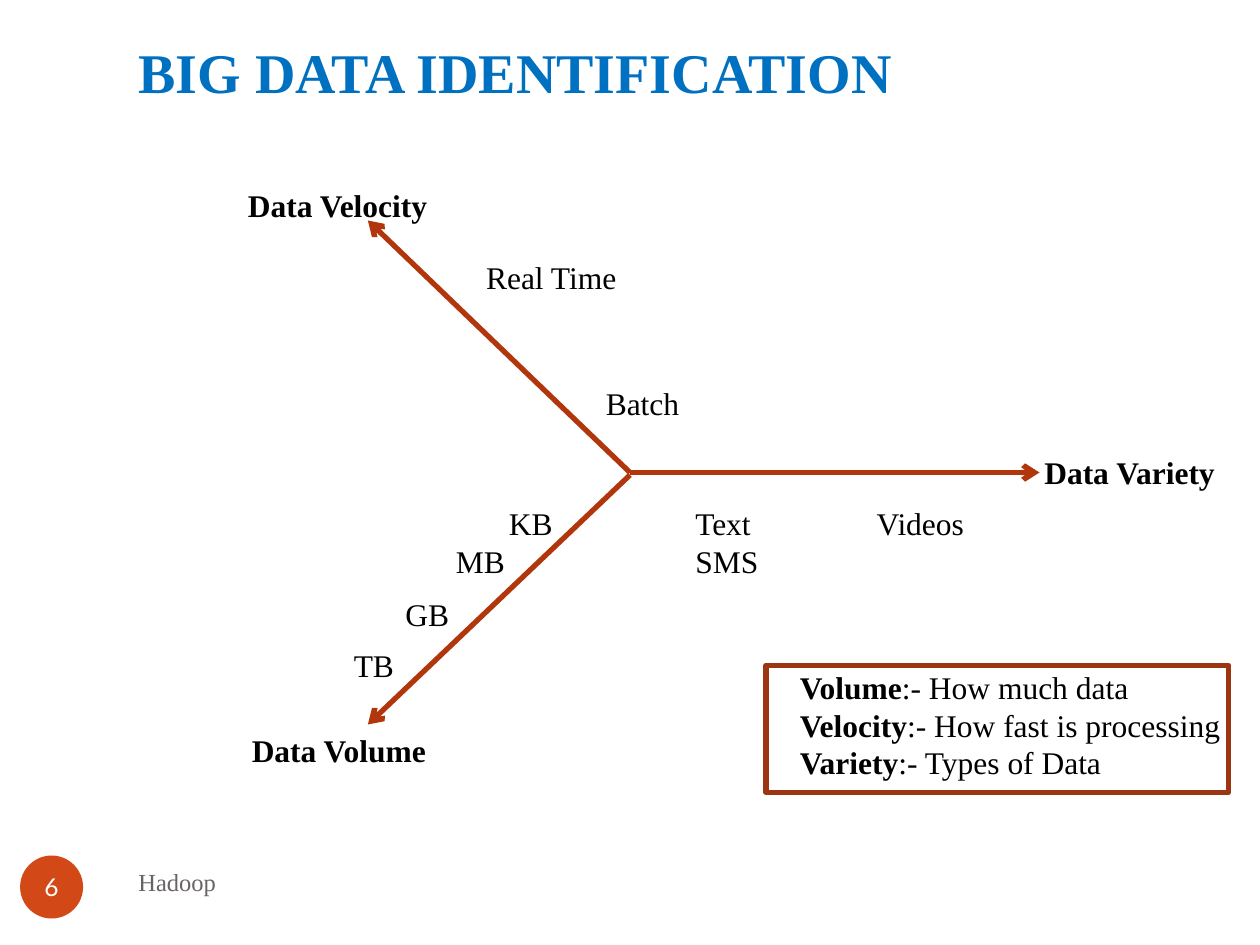
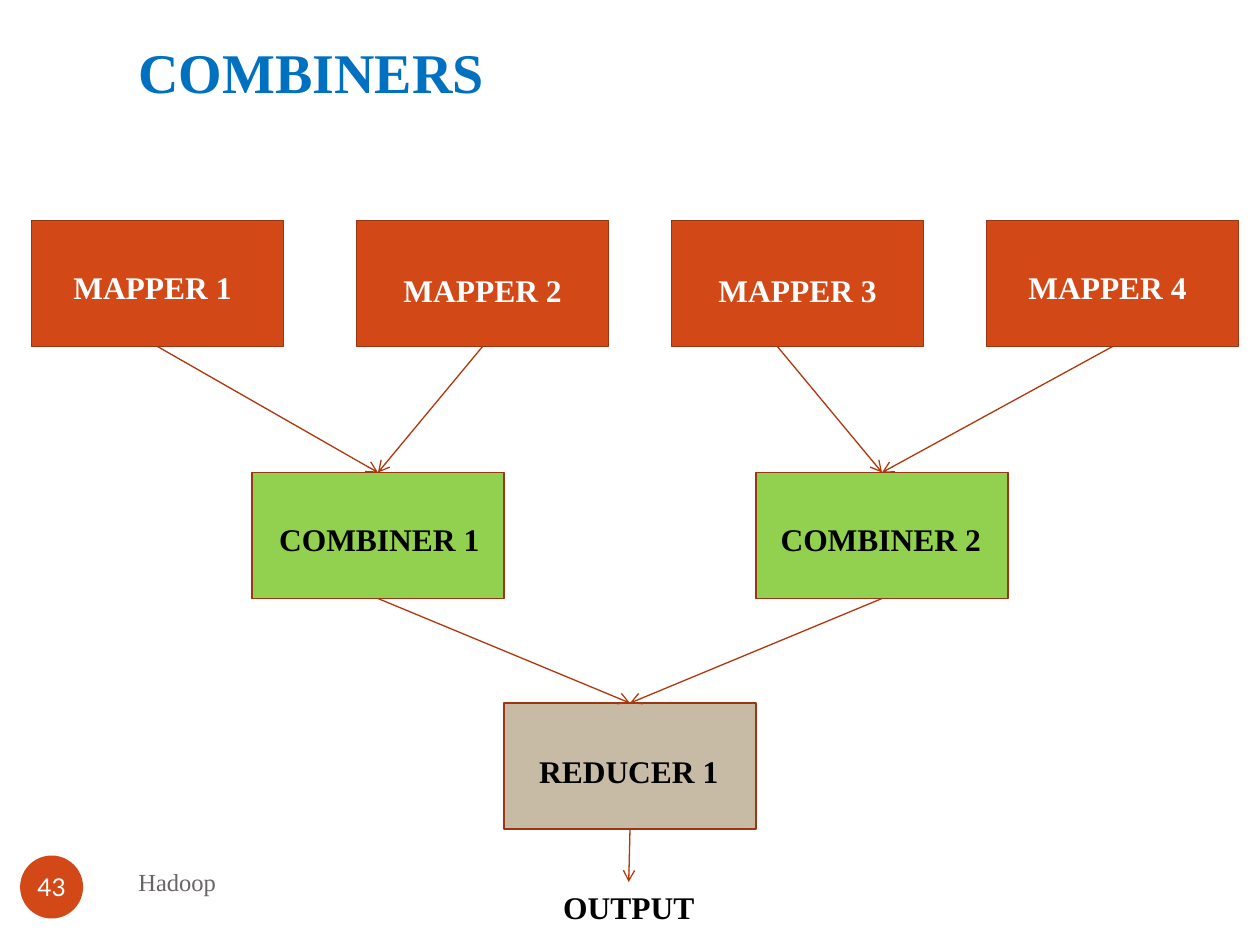
from lxml import etree
from pptx import Presentation
from pptx import util as u
from pptx.dml.color import RGBColor
from pptx.enum import shapes, text
from pptx.oxml import ns

SCALE = 9144
SERIF, SANS = "Times New Roman", "Lato"
BLACK, WHITE, GREY, BLUE = "000000", "FFFFFF", "696464", "0070C0"
ORANGE, GREEN, TAN = "D34817", "92D050", "C7BBA6"
OUTLINE, ARROW = "9C3511", "B1360B"
BOX_W, BOX_H = 200, 100
TOP, BOTTOM = 0, 2


def px(length):
    return u.Emu(length * SCALE)


def rgb(color):
    return RGBColor.from_string(color)


class Deck:
    """Hold the shared style and draw on the current slide."""

    def __init__(self):
        self.prs = Presentation()
        self.prs.slide_width, self.prs.slide_height = px(1000), px(750)
        self.slide = None

    def new_slide(self, title, number, title_width):
        self.slide = self.prs.slides.add_slide(self.prs.slide_layouts[6])
        self.label("Hadoop", 100, 675, 433, 50, size=14, color=GREY, middle=True)
        badge = self.shape(16, 679, 50, 50, ORANGE, kind=shapes.MSO_SHAPE.OVAL)
        frame = badge.text_frame
        frame.margin_left = frame.margin_right = frame.margin_top = frame.margin_bottom = 0
        frame.word_wrap = False
        frame.vertical_anchor = text.MSO_ANCHOR.MIDDLE
        self.fill_paragraph(frame.paragraphs[0], [(str(number), False)], 14, WHITE, True, SANS)
        self.label(title, 100, 25, title_width, 64, size=32, color=BLUE, bold=True)

    def fill_paragraph(self, paragraph, runs, size, color, centered=False, font=SERIF):
        paragraph.alignment = text.PP_ALIGN.CENTER if centered else text.PP_ALIGN.LEFT
        for words, bold in runs:
            run = paragraph.add_run()
            run.text = words
            run.font.name, run.font.size, run.font.bold = font, u.Pt(size), bold
            run.font.color.rgb = rgb(color)

    def rich_text(self, lines, x, y, w, h, size=18, color=BLACK, centered=False, middle=False):
        box = self.slide.shapes.add_textbox(px(x), px(y), px(w), px(h))
        frame = box.text_frame
        frame.word_wrap = True
        if middle:
            frame.vertical_anchor = text.MSO_ANCHOR.MIDDLE
        else:
            frame.auto_size = text.MSO_AUTO_SIZE.SHAPE_TO_FIT_TEXT
        for index, runs in enumerate(lines):
            paragraph = frame.add_paragraph() if index else frame.paragraphs[0]
            self.fill_paragraph(paragraph, runs, size, color, centered)
        return box

    def label(self, words, x, y, w, h=40, bold=False, **style):
        return self.rich_text([[(line, bold)] for line in words.split("\n")], x, y, w, h, **style)

    def shape(self, x, y, w, h, fill=None, outline=0, kind=shapes.MSO_SHAPE.RECTANGLE):
        shape = self.slide.shapes.add_shape(kind, px(x), px(y), px(w), px(h))
        shape.shadow.inherit = False
        if fill:
            shape.fill.solid()
            shape.fill.fore_color.rgb = rgb(fill)
        else:
            shape.fill.background()
        if outline:
            shape.line.color.rgb = rgb(OUTLINE)
            shape.line.width = u.Pt(outline)
        else:
            shape.line.fill.background()
        return shape

    def stage(self, x, y, fill):
        return self.shape(x, y, BOX_W, BOX_H, fill, 1)

    def arrow(self, start, end, width=0.75, source=None, target=None):
        line = self.slide.shapes.add_connector(
            shapes.MSO_CONNECTOR.STRAIGHT, *map(px, start + end))
        line.line.color.rgb = rgb(ARROW)
        line.line.width = u.Pt(width)
        etree.SubElement(line.get_or_add_ln(), ns.qn("a:tailEnd"), type="arrow")
        etree.SubElement(line.element.spPr, ns.qn("a:effectLst"))
        if source is not None:
            line.begin_connect(source, BOTTOM)
        if target is not None:
            line.end_connect(target, TOP)

    def flow(self, source, target):
        self.arrow((0, 0), (0, 0), source=source, target=target)


def identification(deck):
    deck.new_slide("BIG DATA IDENTIFICATION", 6, 700)
    for origin_y, tip in ((375, (825, 375)), (375, (292, 175)), (377, (292, 575))):
        deck.arrow((500, origin_y), tip, 3)

    for axis, x, y in (("Velocity", 187, 143), ("Volume", 190, 575), ("Variety", 819, 355)):
        deck.label(f"Data {axis}", x, y, 204, bold=True)

    deck.label("Text\nSMS", 542, 395, 100, 71)
    deck.label("Videos", 686, 395, 100)
    for unit, x, y in (("KB", 394, 395), ("MB", 352, 425), ("GB", 312, 467), ("TB", 271, 508)):
        deck.label(unit, x, y, 83)
    deck.label("Batch", 471, 300, 100)
    deck.label("Real Time", 376, 200, 146)

    deck.shape(608, 528, 367, 101, outline=3)
    meanings = (("Volume", "How much data"), ("Velocity", "How fast is processing"),
                ("Variety", "Types of Data"))
    deck.rich_text([[(term, True), (f":- {meaning}", False)] for term, meaning in meanings],
                   625, 525, 367, 101)


def combiners(deck):
    deck.new_slide("COMBINERS", 43, 908)
    mappers = []
    mapper_places = ((25, 42, 208), (283, 304, 210), (533, 554, 210), (783, 800, 208))
    for number, (x, label_x, label_y) in enumerate(mapper_places, 1):
        mappers.append(deck.stage(x, 175, ORANGE))
        deck.label(f"MAPPER {number}", label_x, label_y, 158, 42,
                   bold=True, color=WHITE, centered=True)

    combiner_stages = []
    for number, (x, label_x) in enumerate(((200, 202), (600, 600)), 1):
        combiner_stages.append(deck.stage(x, 375, GREEN))
        deck.label(f"COMBINER {number}", label_x, 408, 198, 42, bold=True, centered=True)

    reducer = deck.stage(400, 558, TAN)
    deck.label("REDUCER 1", 400, 592, 198, bold=True, centered=True)
    output = deck.label("OUTPUT", 400, 700, 198, bold=True, centered=True)

    first, second = combiner_stages
    deck.flow(mappers[0], first)
    deck.flow(mappers[1], first)
    deck.arrow((617, 275), (700, 375), target=second)
    deck.flow(mappers[3], second)
    for combiner in combiner_stages:
        deck.flow(combiner, reducer)
    deck.flow(reducer, output)


def main():
    deck = Deck()
    identification(deck)
    combiners(deck)
    deck.prs.save("out.pptx")


if __name__ == "__main__":
    main()
